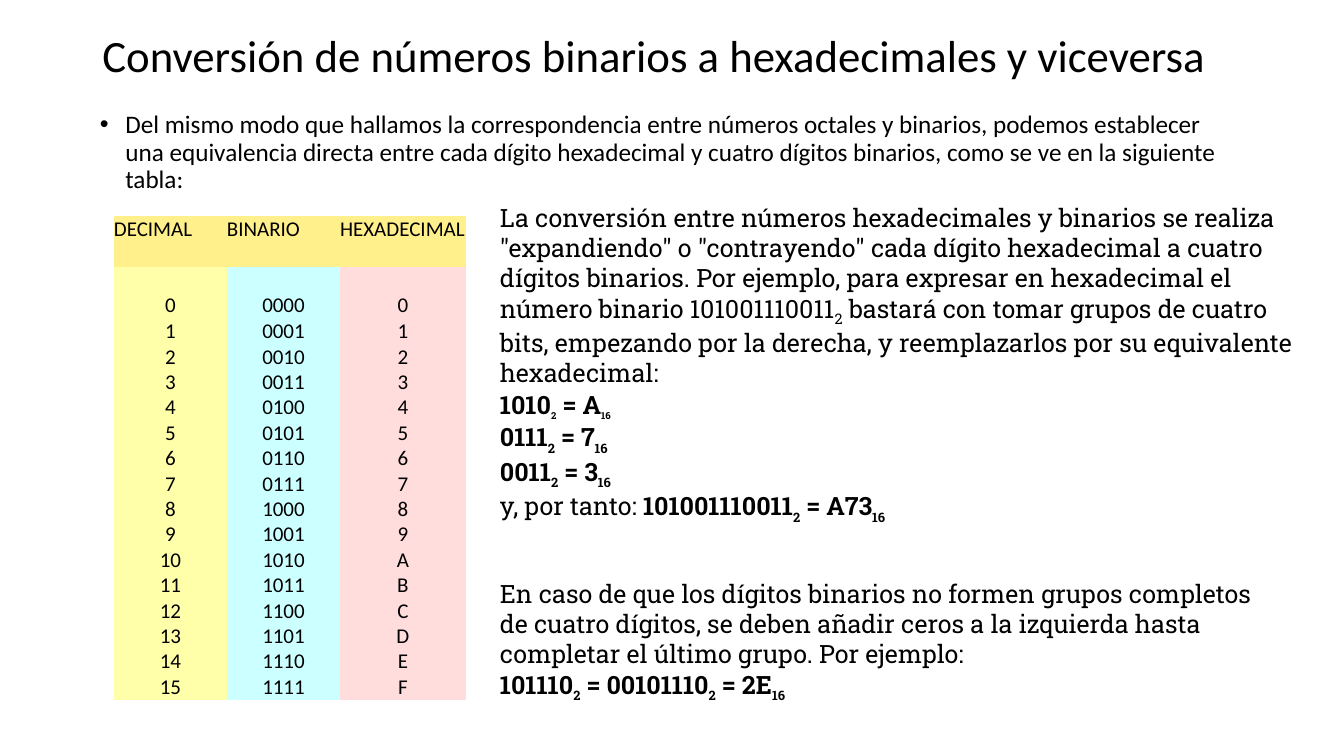
from dataclasses import dataclass

from lxml import etree
from pptx import Presentation
from pptx import util as u
from pptx.dml.color import RGBColor
from pptx.enum import text
from pptx.oxml import ns

# Content
TITLE = "Conversión de números binarios a hexadecimales y viceversa"
INTRO = ("Del mismo modo que hallamos la correspondencia entre números octales y "
         "binarios, podemos establecer una equivalencia directa entre cada dígito "
         "hexadecimal y cuatro dígitos binarios, como se ve en la siguiente tabla:")
HEADERS = ("DECIMAL", "BINARIO", "HEXADECIMAL")
DIGITS = [(str(n), f"{n:04b}", f"{n:X}") for n in range(16)]

# Runs are (text, kind); the kinds are listed in Theme.run_kinds
CONVERSION = [[
    ("La conversión entre números hexadecimales y binarios se realiza "
     "\"expandiendo\" o \"contrayendo\" cada dígito hexadecimal a cuatro dígitos "
     "binarios. Por ejemplo, para expresar en hexadecimal el número binario "
     "101001110011", "plain"),
    ("2", "plain sub"),
    (" bastará con tomar grupos de cuatro bits, empezando por la derecha, y "
     "reemplazarlos por su equivalente hexadecimal:", "plain"),
]]


def equation(*terms, sub="sub"):
    """Runs for (number, base) terms joined by equals signs."""
    runs = []
    for index, (number, base) in enumerate(terms):
        runs += [((" = " if index else "") + number, "bold"), (base, sub)]
    return runs


EXAMPLES = [
    equation(("1010", "2"), ("A", "16"), sub="small sub"),
    equation(("0111", "2"), ("7", "16")),
    equation(("0011", "2"), ("3", "16")),
    [("y, por tanto: ", "plain")] + equation(("101001110011", "2"), ("A73", "16")),
    [("En caso de que los dígitos binarios no formen grupos completos de cuatro "
      "dígitos, se deben añadir ceros a la izquierda hasta completar el último "
      "grupo. Por ejemplo:", "plain")],
    equation(("101110", "2"), ("00101110", "2"), ("2E", "16")),
]
PADDING_PARAGRAPH = 4  # the paragraph that opens the second topic


@dataclass(frozen=True)
class Theme:
    ink: str = "000000"
    header: str = "FFF08C"
    columns: tuple = ("FFFFAA", "CCFFFF", "FFDDDD")
    sans: str = "Calibri"
    slab: str = "Roboto Slab"
    title: int = 32
    body: int = 18
    table: int = 15
    topic_gap: int = 38

    # kind: (size, bold, baseline in thousandths of a percent)
    @property
    def run_kinds(self):
        return {"plain": (self.body, False, 0), "bold": (self.body, True, 0),
                "plain sub": (self.body, False, -25000),
                "sub": (16, True, -30000), "small sub": (12, True, -30000)}


THEME = Theme()

# Layout in centimetres: left, top, width, height
TITLE_BOX = (2.33, -0.38, 29.21, 3.68)
INTRO_BOX = (2.27, 2.7, 29.21, 12.09)
CONVERSION_BOX = (12.35, 4.97, 20.77, 4.87)
EXAMPLES_BOX = (12.35, 9.83, 20.2, 7.88)
TABLE_LEFT, TABLE_TOP = 2.87, 5.45
COLUMN_WIDTHS = (2.85, 2.85, 3.17)
ROW_HEIGHTS = [1.29, 1.29] + [0.64] * (len(DIGITS) - 1)


def add_run(paragraph, words, font, size, bold=False, baseline=0):
    run = paragraph.add_run()
    run.text = words
    run.font.name, run.font.size, run.font.bold = font, u.Pt(size), bold
    run.font.color.rgb = RGBColor.from_string(THEME.ink)
    if baseline:
        run.font._element.set("baseline", str(baseline))


def add_text_box(slide, box, anchor=text.MSO_ANCHOR.TOP):
    frame = slide.shapes.add_textbox(*map(u.Cm, box)).text_frame
    frame.word_wrap = True
    frame.vertical_anchor = anchor
    return frame


def add_rich_text(frame, paragraphs):
    for index, runs in enumerate(paragraphs):
        paragraph = frame.add_paragraph() if index else frame.paragraphs[0]
        for words, kind in runs:
            add_run(paragraph, words, THEME.slab, *THEME.run_kinds[kind])


def add_bullet(paragraph):
    properties = paragraph._p.get_or_add_pPr()
    indent = u.Cm(0.64)
    properties.set("marL", str(indent))
    properties.set("indent", str(-indent))
    etree.SubElement(properties, ns.qn("a:buFont"), typeface="Arial")
    etree.SubElement(properties, ns.qn("a:buChar"), char="•")


def add_digit_table(slide):
    rows = [HEADERS] + DIGITS
    frame = slide.shapes.add_table(
        len(rows), len(HEADERS), u.Cm(TABLE_LEFT), u.Cm(TABLE_TOP),
        u.Cm(sum(COLUMN_WIDTHS)), u.Cm(sum(ROW_HEIGHTS)))
    table = frame.table
    table.first_row = table.horz_banding = False
    # Built-in style without grid lines
    style = table._tbl.tblPr.find(ns.qn("a:tableStyleId"))
    style.text = "{2D5ABB26-0587-4C30-8999-92F81FD0307C}"
    for column, width in zip(table.columns, COLUMN_WIDTHS):
        column.width = u.Cm(width)
    for row, height in zip(table.rows, ROW_HEIGHTS):
        row.height = u.Cm(height)
    for row_index, values in enumerate(rows):
        for column_index, value in enumerate(values):
            cell = table.cell(row_index, column_index)
            cell.margin_left = cell.margin_right = 0
            cell.margin_top = cell.margin_bottom = 0
            paragraph = cell.text_frame.paragraphs[0]
            color = THEME.header
            if row_index:
                color = THEME.columns[column_index]
                cell.vertical_anchor = text.MSO_ANCHOR.BOTTOM
                paragraph.alignment = text.PP_ALIGN.CENTER
            cell.fill.solid()
            cell.fill.fore_color.rgb = RGBColor.from_string(color)
            add_run(paragraph, value, THEME.sans, THEME.table)


def main():
    presentation = Presentation()
    presentation.slide_width, presentation.slide_height = u.Cm(33.87), u.Cm(19.05)
    slide = presentation.slides.add_slide(presentation.slide_layouts[6])

    # Title
    title = add_text_box(slide, TITLE_BOX, text.MSO_ANCHOR.MIDDLE).paragraphs[0]
    title.line_spacing = 0.9
    add_run(title, TITLE, THEME.sans, THEME.title)

    # Introduction
    intro = add_text_box(slide, INTRO_BOX).paragraphs[0]
    intro.line_spacing = 0.9
    intro.space_before = u.Pt(10)
    add_bullet(intro)
    add_run(intro, INTRO, THEME.sans, THEME.body)

    # Equivalence table
    add_digit_table(slide)

    # Explanation and worked examples
    add_rich_text(add_text_box(slide, CONVERSION_BOX), CONVERSION)
    examples = add_text_box(slide, EXAMPLES_BOX, text.MSO_ANCHOR.MIDDLE)
    add_rich_text(examples, EXAMPLES)
    examples.paragraphs[PADDING_PARAGRAPH].space_before = u.Pt(THEME.topic_gap)

    presentation.save("out.pptx")


if __name__ == "__main__":
    main()
